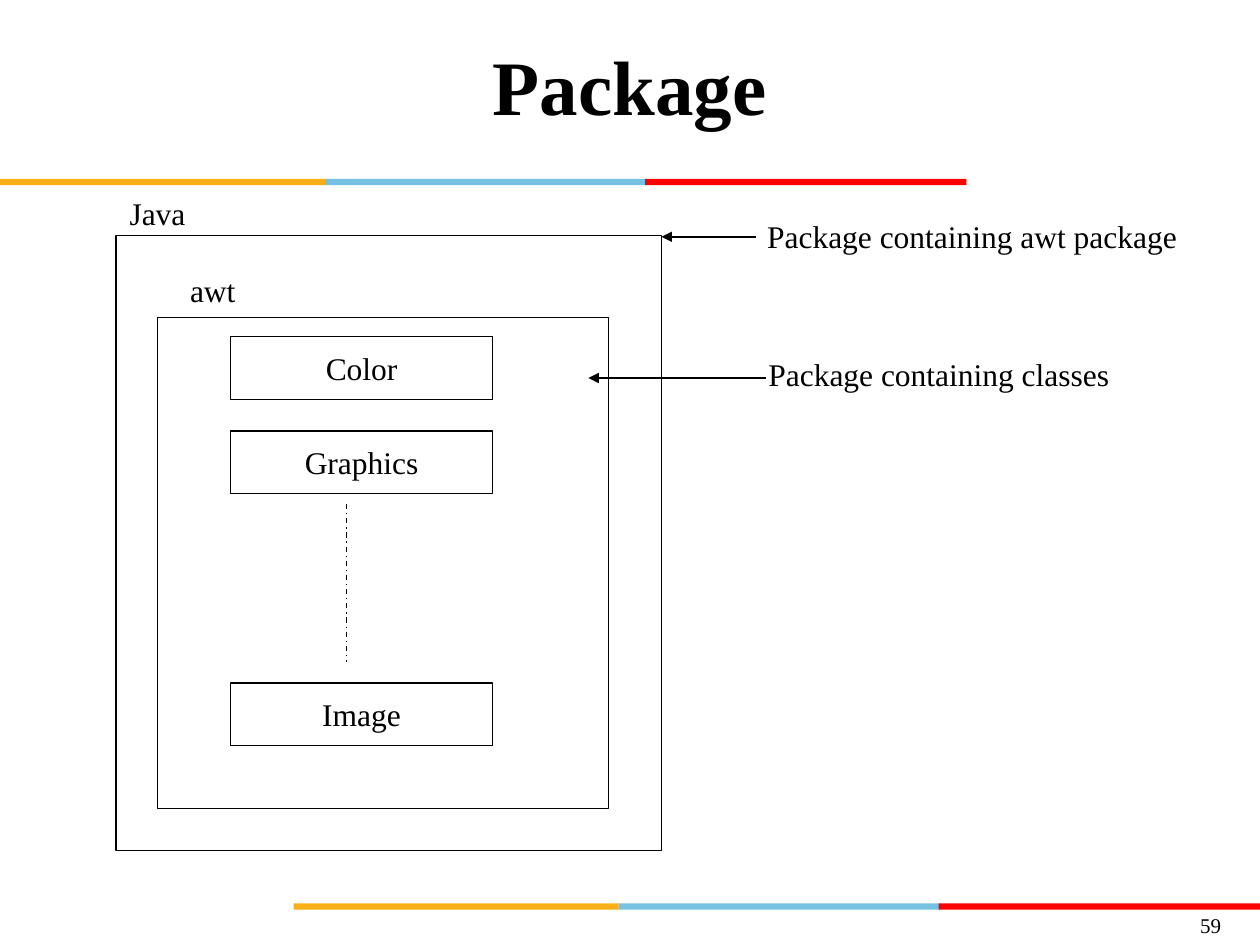
"""Builds the Package slide: nested boxes for the Java and awt packages."""
from lxml import etree
from pptx import Presentation, util as u
from pptx.dml.color import RGBColor
from pptx.enum import dml, shapes, text
from pptx.oxml.ns import qn

COLORS = {"ink": "000000", "paper": "FFFFFF", "gold": "FBAF16", "sky": "75C1E4", "red": "FF0000"}
FONT = "Times New Roman"
TITLE = "Package"
STRIPES = [("gold", 0, 2.58), ("sky", 2.58, 2.55), ("red", 5.12, 2.55)]
STRIPE_ROWS = [(0, 1.42), (2.33, 7.17)]
PACKAGES = [(0.92, 1.87, 4.33, 4.88), (1.25, 2.52, 3.58, 3.9)]
CLASSES = [("Color", 2.67), ("Graphics", 3.42), ("Image", 5.42)]
LABELS = [
    ("Java", 0.93, 1.49, 2),
    ("awt", 1.41, 2.1, 2.25),
    ("Package containing awt package", 5.99, 1.67, 3.5),
    ("Package containing classes", 6, 2.77, 3.5),
]
ARROWS = [(6, 5.25, 1.88), (6.08, 4.67, 3)]
PAGE_NUMBER = "59"


def color(name):
    return RGBColor.from_string(COLORS[name])


def inches(*values):
    return [u.Inches(value) for value in values]


def write(shape, words, size=18, align=text.PP_ALIGN.LEFT, bold=False):
    para = shape.text_frame.paragraphs[0]
    para.alignment = align
    span = para.add_run()
    span.text = words
    span.font.name, span.font.size, span.font.bold = FONT, u.Pt(size), bold
    span.font.color.rgb = color("ink")


def add_box(page, place, fill="paper", outlined=True):
    box = page.shapes.add_shape(shapes.MSO_SHAPE.RECTANGLE, *inches(*place))
    box.shadow.inherit = False
    box.fill.solid()
    box.fill.fore_color.rgb = color(fill)
    if outlined:
        box.line.color.rgb = color("ink")
        box.line.width = u.Pt(0.75)
    else:
        box.line.fill.background()
    return box


def add_label(page, words, place, **style):
    box = page.shapes.add_textbox(*inches(*place))
    box.text_frame.word_wrap = True
    write(box, words, **style)


def add_line(page, ends, arrow=False):
    line = page.shapes.add_connector(shapes.MSO_CONNECTOR.STRAIGHT, *inches(*ends))
    line.line.color.rgb = color("ink")
    line.line.width = u.Pt(0.75)
    properties = line._element.spPr
    etree.SubElement(properties, qn("a:effectLst"))
    if arrow:
        etree.SubElement(properties.find(qn("a:ln")), qn("a:tailEnd"), type="triangle")
    return line


def main():
    deck = Presentation()
    deck.slide_width, deck.slide_height = inches(10, 7.5)
    page = deck.slides.add_slide(deck.slide_layouts[5])

    for offset, top in STRIPE_ROWS:
        for fill, left, width in STRIPES:
            add_box(page, (left + offset, top, width, 0.05), fill, outlined=False)

    title = page.shapes.title
    title.left, title.top, title.width, title.height = inches(0.5, 0.3, 9, 0.74)
    frame = title.text_frame
    frame.margin_left = frame.margin_top = frame.margin_right = frame.margin_bottom = 0
    frame.auto_size = text.MSO_AUTO_SIZE.SHAPE_TO_FIT_TEXT
    write(title, TITLE, size=44, align=text.PP_ALIGN.CENTER, bold=True)

    for place in PACKAGES:
        add_box(page, place)
    for name, top in CLASSES:
        box = add_box(page, (1.83, top, 2.08, 0.5))
        box.text_frame.word_wrap = False
        box.text_frame.vertical_anchor = text.MSO_ANCHOR.MIDDLE
        write(box, name, align=text.PP_ALIGN.CENTER)

    more_classes = add_line(page, (2.75, 4, 2.75, 5.25))
    more_classes.line.dash_style = dml.MSO_LINE.DASH_DOT

    for words, left, top, width in LABELS:
        add_label(page, words, (left, top, width, 0.4))
    for start, end, top in ARROWS:
        add_line(page, (start, top, end, top), arrow=True)
    add_label(page, PAGE_NUMBER, (7.46, 7.19, 2.33, 0.31), size=12, align=text.PP_ALIGN.RIGHT)

    deck.save("out.pptx")


if __name__ == "__main__":
    main()
